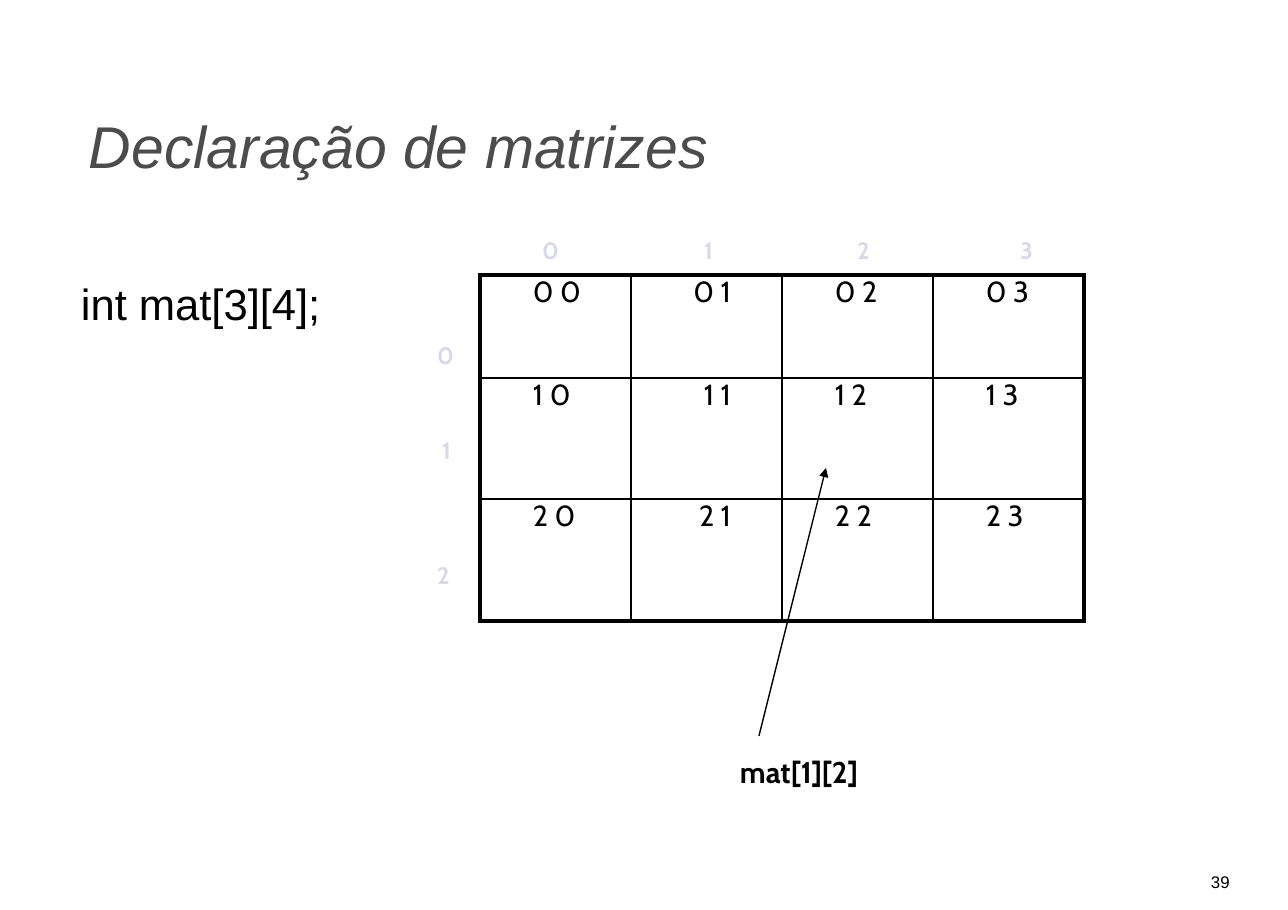
from lxml.etree import SubElement
from pptx import Presentation
from pptx.dml.color import RGBColor
from pptx.enum.shapes import MSO_CONNECTOR
from pptx.enum.text import PP_ALIGN
from pptx.oxml.ns import qn
from pptx.util import Pt

PX = 8298
COLORS = {"title": "4C4C4C", "ink": "000000", "index": "D8D8EC"}
FORMATS = {
    "title": {"name": "Arial", "size": Pt(38.5), "italic": True},
    "code": {"name": "Arial", "size": Pt(28.5)},
    "index": {"name": "Cabin", "size": Pt(15.5), "bold": True},
    "callout": {"name": "Cabin", "size": Pt(19.5), "bold": True},
    "cell": {"name": "Cabin", "size": Pt(19)},
    "number": {"name": "Arial", "size": Pt(11)},
}
MARGINS = ("margin_left", "margin_top", "margin_right", "margin_bottom")


def px(*values):
    return [v * PX for v in values]


def set_attrs(obj, values):
    for name, value in values.items():
        setattr(obj, name, value)


def write(tf, text, style):
    p = tf.paragraphs[0]
    r = p.add_run()
    r.text = text
    set_attrs(r.font, FORMATS[style])
    r.font.color.rgb = RGBColor.from_string(COLORS.get(style, COLORS["ink"]))
    return p


def add_text(s, text, style, x, y, w, h):
    tf = s.shapes.add_textbox(*px(x, y, w, h)).text_frame
    set_attrs(tf, dict.fromkeys(MARGINS, 0))
    tf.word_wrap = True
    return write(tf, text, style)


def add_border(cell, side, width):
    ln = SubElement(cell._tc.get_or_add_tcPr(), qn(f"a:ln{side}"), w=str(Pt(width)))
    fill = SubElement(ln, qn("a:solidFill"))
    SubElement(fill, qn("a:srgbClr"), val=COLORS["ink"])


def add_matrix(s, x, y, col_width, row_heights, col_count):
    row_count = len(row_heights)
    size = px(x, y, col_width * col_count, sum(row_heights))
    table = s.shapes.add_table(row_count, col_count, *size).table
    table.first_row = table.horz_banding = False
    for col in table.columns:
        col.width = col_width * PX
    for row, height in zip(table.rows, row_heights):
        row.height = height * PX
    for i in range(row_count):
        for j in range(col_count):
            cell = table.cell(i, j)
            set_attrs(cell, dict(zip(MARGINS, px(53, 0, 0, 0))))
            p = write(cell.text_frame, f"{i} {j}", "cell")
            if j == 1:
                p.alignment = PP_ALIGN.RIGHT
                cell.margin_left, cell.margin_right = px(0, 51)
            outer = {"L": j == 0, "R": j == col_count - 1,
                     "T": i == 0, "B": i == row_count - 1}
            for side, is_outer in outer.items():
                add_border(cell, side, 2.48 if is_outer else 1.1)
            cell.fill.background()


def add_arrow(s, *ends):
    sp = s.shapes.add_connector(MSO_CONNECTOR.STRAIGHT, *px(*ends))
    sp.line.color.rgb = RGBColor.from_string(COLORS["ink"])
    sp.line.width = Pt(0.9)
    SubElement(sp.line._get_or_add_ln(), qn("a:tailEnd"), type="triangle")
    SubElement(sp._element.spPr, qn("a:effectLst"))


def main():
    prs = Presentation()
    prs.slide_width, prs.slide_height = px(1288, 910)
    s = prs.slides.add_slide(prs.slide_layouts[6])
    add_text(s, "Declaração de matrizes", "title", 89, 110, 660, 72)
    add_text(s, "int mat[3][4];", "code", 81, 277, 260, 54)
    for j, x in enumerate((542, 704, 857, 1020)):
        add_text(s, str(j), "index", x, 236, 18, 30)
    for i, (x, y) in enumerate(((437, 341), (442, 436), (437, 561))):
        add_text(s, str(i), "index", x, y, 18, 30)
    add_matrix(s, 480, 275, 151, (103, 121, 122), 4)
    add_arrow(s, 759, 736, 826, 468)
    add_text(s, "mat[1][2]", "callout", 740, 754, 156, 36)
    number = add_text(s, "39", "number", 1211, 873, 25, 19)
    number.line_spacing = Pt(12.2)
    prs.save("out.pptx")


if __name__ == "__main__":
    main()
